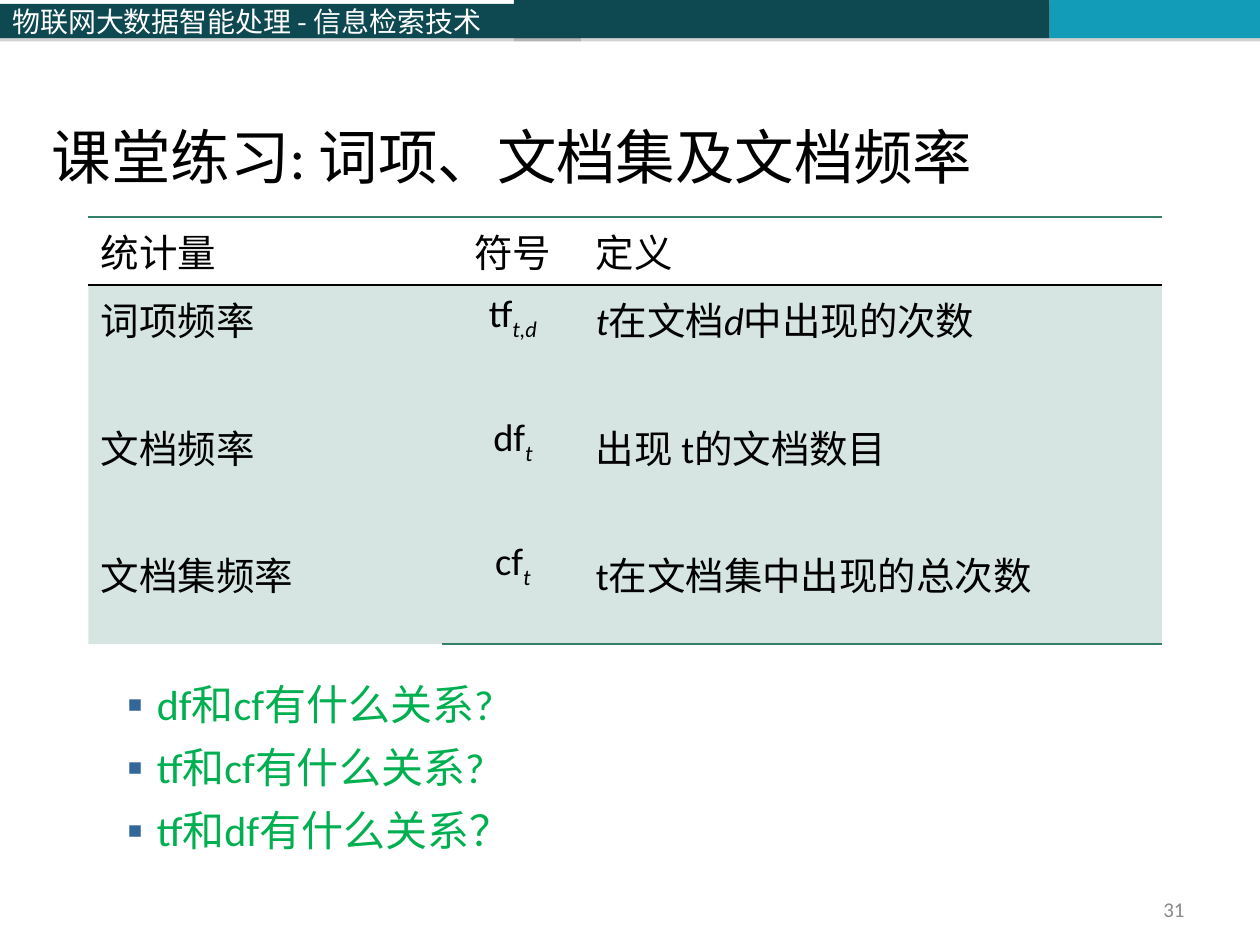
import pptx
import pptx.util
import pptx.dml.color
import pptx.enum.shapes
import pptx.enum.text
import pptx.oxml.ns
import lxml.etree

Cm = pptx.util.Cm
Pt = pptx.util.Pt
RGB = pptx.dml.color.RGBColor.from_string
ALIGN = pptx.enum.text.PP_ALIGN
ANCHOR = pptx.enum.text.MSO_ANCHOR

theme = {
    "colours": {"banner": "0E4851", "accent": "139CB7", "shadow": "808080", "light": "FFFFFF",
                "ink": "000000", "rule": "357E69", "question": "00B050", "bullet": "336699",
                "number": "898989"},
    "sizes": {"banner": 16, "title": 34, "table": 22, "question": 24, "number": 12},
    "latin": "Calibri", "symbol": "Open Sans", "chinese": "Noto Sans CJK SC",
}
colours = theme["colours"]


def add_child(parent, tag, position=None, **attributes):
    child = lxml.etree.Element(pptx.oxml.ns.qn(tag), attributes)
    parent.insert(len(parent) if position is None else position, child)
    return child


def write(paragraph, pieces, size, colour, font=theme["latin"]):
    for piece in pieces:
        words, style = piece if isinstance(piece, tuple) else (piece, "")
        run = paragraph.add_run()
        run.text = words
        values = {"name": font, "size": Pt(theme["sizes"][size]),
                  "bold": False, "italic": style in ("italic", "index")}
        for name, value in values.items():
            setattr(run.font, name, value)
        run.font.color.rgb = RGB(colours[colour])
        add_child(run.font._element, "a:ea", typeface=theme["chinese"])
        if style == "index":
            run.font._element.set("baseline", "-25000")


deck = pptx.Presentation()
deck.slide_width, deck.slide_height = Cm(25.4), Cm(19.05)
slide = deck.slides.add_slide(deck.slide_layouts[1])

banner_parts = [
    (0, 0.08, 11.71, 0.69, "banner", "物联网大数据智能处理 - 信息检索技术"),
    (10.36, 0, 10.8, 0.77, "banner", ""),
    (21.16, 0, 4.24, 0.77, "accent", ""),
]
for left, top, width, height, colour, course in banner_parts:
    band = slide.shapes.add_shape(pptx.enum.shapes.MSO_SHAPE.RECTANGLE,
                                  Cm(left), Cm(top), Cm(width), Cm(height))
    band.fill.solid()
    band.fill.fore_color.rgb = RGB(colours[colour])
    band.line.fill.background()
    band.shadow.inherit = False
    effects = band._element.spPr.find(pptx.oxml.ns.qn("a:effectLst"))
    shade = add_child(effects, "a:outerShdw", dist=str(Pt(1.8)), dir="5400000", rotWithShape="0")
    shade_colour = add_child(shade, "a:srgbClr", val=colours["shadow"])
    add_child(shade_colour, "a:alpha", val="35000")
    if course:
        band.text_frame.vertical_anchor = ANCHOR.MIDDLE
        band.text_frame.paragraphs[0].alignment = ALIGN.LEFT
        write(band.text_frame.paragraphs[0], [course], "banner", "light", theme["chinese"])

title = slide.shapes.title
questions = slide.placeholders[1]
page_number = slide.shapes.add_textbox(0, 0, 0, 0)
text_areas = [
    (title, (0.79, 0.03, 24.61, 3.96), ANCHOR.BOTTOM),
    (questions, (0.79, 13.54, 23.01, 5.5), ANCHOR.TOP),
    (page_number, (18.21, 17.98, 5.92, 0.69), ANCHOR.MIDDLE),
]
for area, box, anchor in text_areas:
    for name, length in zip(("left", "top", "width", "height"), box):
        setattr(area, name, Cm(length))
    frame_format = {"word_wrap": True, "vertical_anchor": anchor,
                    "auto_size": pptx.enum.text.MSO_AUTO_SIZE.NONE}
    for name, value in frame_format.items():
        setattr(area.text_frame, name, value)

heading = title.text_frame.paragraphs[0]
heading.alignment = ALIGN.LEFT
write(heading, ["课堂练习: 词项、文档集及文档频率"], "title", "ink")

number = page_number.text_frame.paragraphs[0]
number.alignment = ALIGN.RIGHT
write(number, ["31"], "number", "number")

for index, question in enumerate(["df和cf有什么关系?", "tf和cf有什么关系?", "tf和df有什么关系？"]):
    frame = questions.text_frame
    line = frame.add_paragraph() if index else frame.paragraphs[0]
    line_format = {"level": 1, "alignment": ALIGN.LEFT, "line_spacing": Pt(29),
                   "space_before": Pt(7 if index else 0)}
    for name, value in line_format.items():
        setattr(line, name, value)
    properties = line._p.get_or_add_pPr()
    properties.set("marL", str(Cm(2.06)))
    properties.set("indent", str(Cm(-0.79)))
    add_child(add_child(properties, "a:buClr"), "a:srgbClr", val=colours["bullet"])
    add_child(properties, "a:buFont", typeface=theme["chinese"])
    add_child(properties, "a:buChar", char="▪")
    write(line, [question], "question", "question")

headers = ["统计量", "符号", "定义"]
definitions = [
    [["词项频率"], ["文档频率"], ["文档集频率"]],
    [["tf", ("t,d", "index")], ["df", ("t", "index")], ["cf", ("t", "index")]],
    [[("t", "italic"), "在文档", ("d", "italic"), "中出现的次数"],
     ["出现 t的文档数目"], ["t在文档集中出现的总次数"]],
]
statistics = slide.shapes.add_table(2, 3, Cm(1.78), Cm(4.37), Cm(21.64), Cm(8.53)).table
statistics.first_row = statistics.horz_banding = False
table_style = statistics._tbl.tblPr.find(pptx.oxml.ns.qn("a:tableStyleId"))
table_style.text = "{2D5ABB26-0587-4C30-8999-92F81FD0307C}"
for column, width in zip(statistics.columns, (7.14, 2.84, 11.66)):
    column.width = Cm(width)
for row, height in zip(statistics.rows, (1.3, 7.24)):
    row.height = Cm(height)

for column, header in enumerate(headers):
    for row, entries in enumerate([[[header]], definitions[column]]):
        cell = statistics.cell(row, column)
        for index, pieces in enumerate(entries):
            frame = cell.text_frame
            line = frame.add_paragraph() if index else frame.paragraphs[0]
            line.alignment = ALIGN.CENTER if column == 1 else ALIGN.LEFT
            line.space_before = Pt(40.9 if index else 0)
            font = theme["symbol"] if header == "符号" and row == 0 else theme["latin"]
            write(line, pieces, "table", "ink", font)
        if row == 0:
            cell.fill.background()
            borders = [("a:lnT", "rule"), ("a:lnB", "ink")]
        else:
            cell.fill.solid()
            cell.fill.fore_color.rgb = RGB(colours["rule"])
            tint = next(cell._tc.tcPr.iter(pptx.oxml.ns.qn("a:srgbClr")))
            add_child(tint, "a:alpha", val="20000")
            borders = [("a:lnT", "ink")] + ([("a:lnB", "rule")] if column else [])
        for position, (side, colour) in enumerate(borders):
            border = add_child(cell._tc.tcPr, side, position, w=str(Pt(1)))
            add_child(add_child(border, "a:solidFill"), "a:srgbClr", val=colours[colour])

deck.save("out.pptx")
